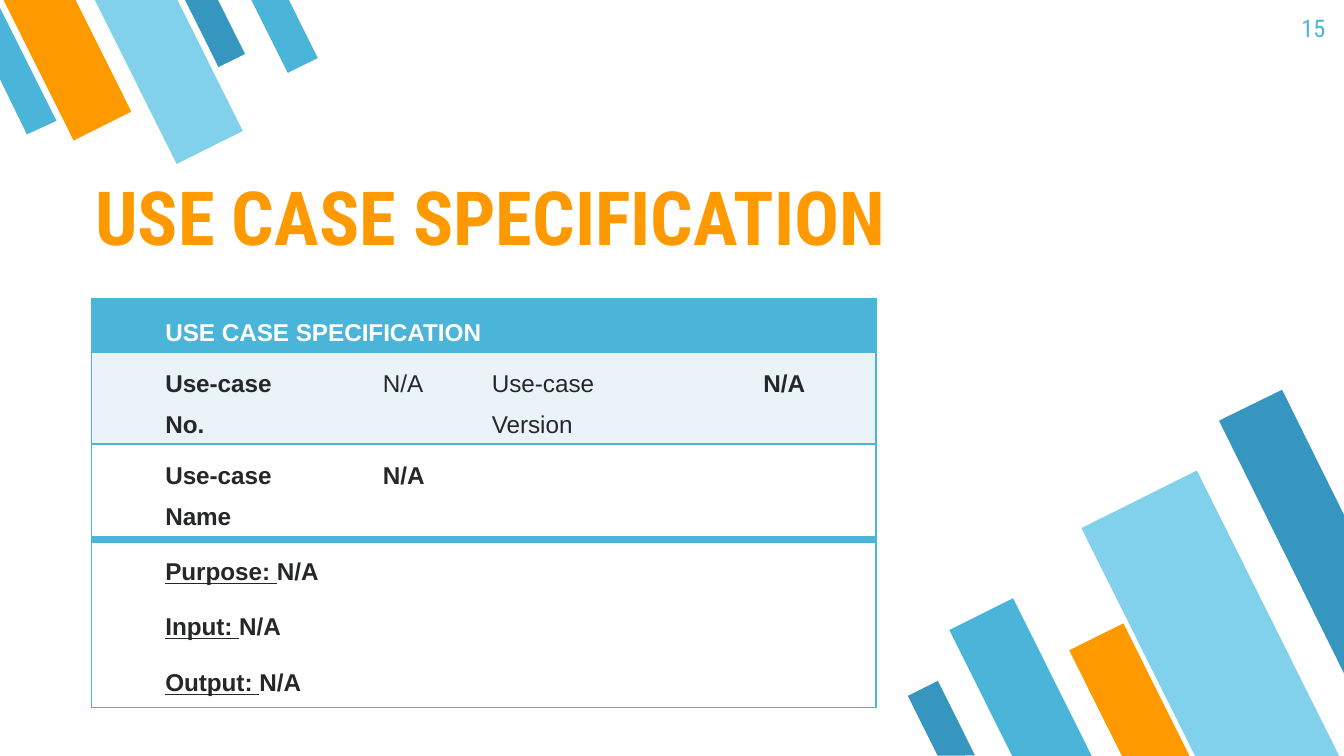
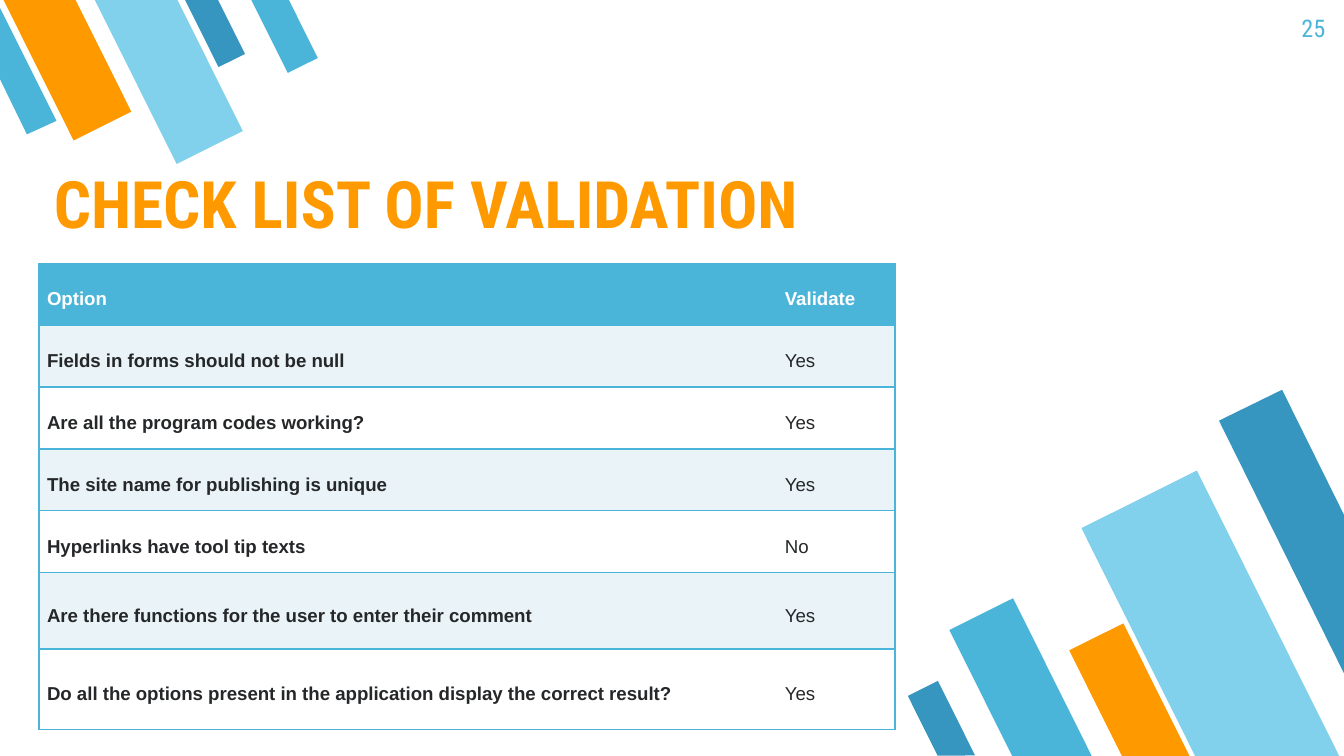
from pptx import Presentation
from pptx.dml.color import RGBColor
from pptx.enum.shapes import MSO_SHAPE as Preset
from pptx.enum.text import MSO_ANCHOR as Anchor, MSO_AUTO_SIZE as Fit, PP_ALIGN as Align
from pptx.oxml.ns import qn
from pptx.util import Inches, Pt
from lxml.etree import SubElement

SKY = RGBColor(0x4B, 0xB5, 0xD9)
PALE = RGBColor(0x81, 0xD1, 0xEC)
DEEP = RGBColor(0x37, 0x96, 0xBF)
AMBER = RGBColor(0xFF, 0x99, 0x00)
INK = RGBColor(0x25, 0x27, 0x29)
WHITE = RGBColor(0xFF, 0xFF, 0xFF)
BAND = RGBColor(0xE9, 0xF3, 0xF8)

HEAD = "Roboto Condensed"
BODY = "Arial"

LOW_TURN, TOP_TURN = 153.5, 333.5
LOW_BARS = [
    (7.33, 4.5, 0.53, 1.32, SKY),
    (8.53, 3.59, 0.96, 2.39, PALE),
    (8.18, 4.68, 0.45, 1.11, AMBER),
    (6.88, 5.09, 0.25, 0.62, DEEP),
]
TOP_BARS = [
    (1.49, -0.08, 0.22, 0.56, DEEP),
    (0.26, -0.18, 0.48, 1.18, AMBER),
    (0.98, -0.2, 0.55, 1.37, PALE),
    (1.99, -0.1, 0.25, 0.62, SKY),
]
LOW_EDGE = [(9.54, 2.9), (9.07, 3.13), (10, 5.01), (10, 3.83)]
TOP_EDGE = [(0.2, 1), (0.42, 0.9), (0, 0.06), (0, 0.59)]

CHECKS = [
    ("Option", "Validate"),
    ("Fields in forms should not be null", "Yes"),
    ("Are all the program codes working?", "Yes"),
    ("The site name for publishing is unique", "Yes"),
    ("Hyperlinks have tool tip texts", "No"),
    ("Are there functions for the user to enter their comment", "Yes"),
    ("Do all the options present in the application display the correct result?", "Yes"),
]


def paint(shape, color):
    shape.shadow.inherit = False
    shape.fill.solid()
    shape.fill.fore_color.rgb = color
    shape.line.fill.background()


def add_bar(shapes, bar, turn):
    *box, color = bar
    shape = shapes.add_shape(Preset.FLOWCHART_MANUAL_INPUT, *map(Inches, box))
    shape.element.spPr.find(qn("a:xfrm")).set("flipH", "1")
    shape.rotation = turn
    paint(shape, color)
    return shape


def add_edge(shapes, points, color):
    start, *rest = [(Inches(x), Inches(y)) for x, y in points]
    pen = shapes.build_freeform(*start)
    pen.add_line_segments(rest)
    shape = pen.convert_to_shape()
    paint(shape, color)
    return shape


def add_decor(slide, layout):
    shapes = slide.shapes
    decor = [add_bar(shapes, bar, LOW_TURN) for bar in LOW_BARS]
    decor.append(add_edge(shapes, LOW_EDGE, DEEP))
    decor += [add_bar(shapes, bar, TOP_TURN) for bar in TOP_BARS]
    decor.append(add_edge(shapes, TOP_EDGE, SKY))
    for shape in decor:
        layout.shapes.element.append(shape.element)


def style(para, face, size, color, bold=False, align=Align.LEFT):
    para.alignment = align
    font = para.font
    font.name, font.size, font.bold = face, Pt(size), bold
    font.color.rgb = color


def set_frame(frame, anchor):
    frame.word_wrap = True
    frame.auto_size = Fit.NONE
    frame.vertical_anchor = anchor
    frame.margin_left = frame.margin_right = Inches(0.1)
    frame.margin_top = frame.margin_bottom = Inches(0.1)


def add_title(slide, text, box, size):
    title = slide.shapes.title
    title.left, title.top, title.width, title.height = map(Inches, box)
    set_frame(title.text_frame, Anchor.BOTTOM)
    title.text_frame.text = text
    style(title.text_frame.paragraphs[0], HEAD, size, AMBER, True)


def add_number(slide, number):
    box = slide.shapes.add_textbox(Inches(9.36), 0, Inches(0.6), Inches(0.43))
    set_frame(box.text_frame, Anchor.TOP)
    box.text_frame.text = str(number)
    style(box.text_frame.paragraphs[0], HEAD, 13, SKY, align=Align.RIGHT)


def set_border(cell, side, width):
    line = SubElement(cell._tc.get_or_add_tcPr(), qn(f"a:ln{side}"), w=str(Pt(width)))
    if width:
        fill = SubElement(line, qn("a:solidFill"))
        SubElement(fill, qn("a:srgbClr"), val=str(SKY))
    else:
        SubElement(line, qn("a:noFill"))


def add_grid(slide, left, top, widths, heights, fills, pads, rules, spans=()):
    rows, cols = len(heights), len(widths)
    box = map(Inches, (left, top, sum(widths), sum(heights)))
    table = slide.shapes.add_table(rows, cols, *box).table
    for row, first in spans:
        table.cell(row, first).merge(table.cell(row, cols - 1))
    for col, width in zip(table.columns, widths):
        col.width = Inches(width)
    for r, height in enumerate(heights):
        table.rows[r].height = Inches(height)
        for c in range(cols):
            cell = table.cell(r, c)
            last = c + (cell.span_width if cell.is_merge_origin else 1)
            set_border(cell, "L", int(c == 0))
            set_border(cell, "R", int(last == cols))
            set_border(cell, "T", rules[r])
            set_border(cell, "B", rules[r + 1])
            cell.fill.solid()
            cell.fill.fore_color.rgb = fills[r]
            cell.margin_left = cell.margin_right = Inches(pads[0])
            cell.margin_top = cell.margin_bottom = Inches(pads[1])
    return table


def set_para(para, size, color, bold, indent=0, after=0):
    style(para, BODY, size, color, bold, Align.JUSTIFY)
    para.line_spacing = 1.5
    para.space_after = Pt(after)
    if indent:
        props = para._p.get_or_add_pPr()
        props.set("marL", str(Inches(indent)))
        props.set("indent", "0")


def set_spec(cell, text, color=INK, bold=True, indent=0.47):
    cell.text = text
    set_para(cell.text_frame.paragraphs[0], 13, color, bold, indent, 8)


def add_notes(cell, labels):
    frame = cell.text_frame
    for i, label in enumerate(labels):
        para = frame.add_paragraph() if i else frame.paragraphs[0]
        run = para.add_run()
        run.text = f"{label}: "
        run.font.underline = True
        para.add_run().text = "N/A"
        set_para(para, 13, INK, True, 0.47, 8)


def add_case(slide):
    table = add_grid(slide, 0.68, 2.22, [1.62, 1.28, 1.55, 1.39],
                     [0.4, 0.68, 0.71, 1.25], [SKY, BAND, WHITE, WHITE],
                     (0.08, 0.04), [1, 1, 1, 4, 1], [(0, 0), (2, 1), (3, 0)])
    cell = table.cell
    cell(0, 0).vertical_anchor = Anchor.BOTTOM
    set_spec(cell(0, 0), "USE CASE SPECIFICATION", WHITE)
    set_spec(cell(1, 0), "Use-case No.")
    set_spec(cell(1, 1), "N/A", bold=False)
    set_spec(cell(1, 2), "Use-case Version", bold=False, indent=0)
    set_spec(cell(1, 3), "N/A")
    set_spec(cell(2, 0), "Use-case Name")
    set_spec(cell(2, 1), "N/A")
    add_notes(cell(3, 0), ["Purpose", "Input", "Output"])


def add_checks(slide):
    fills = [SKY] + [BAND, WHITE] * 3
    table = add_grid(slide, 0.29, 1.96, [5.49, 0.88], [0.46] * 5 + [0.57, 0.6],
                     fills, (0.06, 0), [1] * 8)
    for r, row in enumerate(CHECKS):
        for c, text in enumerate(row):
            cell = table.cell(r, c)
            cell.text = text
            cell.vertical_anchor = Anchor.MIDDLE
            color = INK if r else WHITE
            set_para(cell.text_frame.paragraphs[0], 10, color, r == 0 or c == 0)


def main():
    deck = Presentation()
    deck.slide_width = Inches(10)
    deck.slide_height = deck.slide_width * 9 // 16
    layout = deck.slide_layouts[5]

    case = deck.slides.add_slide(layout)
    add_decor(case, layout)
    add_title(case, "USE CASE SPECIFICATION", (0.61, 0.97, 7.67, 1.07), 40)
    add_number(case, 15)
    add_case(case)

    check = deck.slides.add_slide(layout)
    add_title(check, "CHECK LIST OF VALIDATION", (0.3, 1.13, 7.67, 0.77), 35)
    add_number(check, 25)
    add_checks(check)

    deck.save("out.pptx")


if __name__ == "__main__":
    main()
